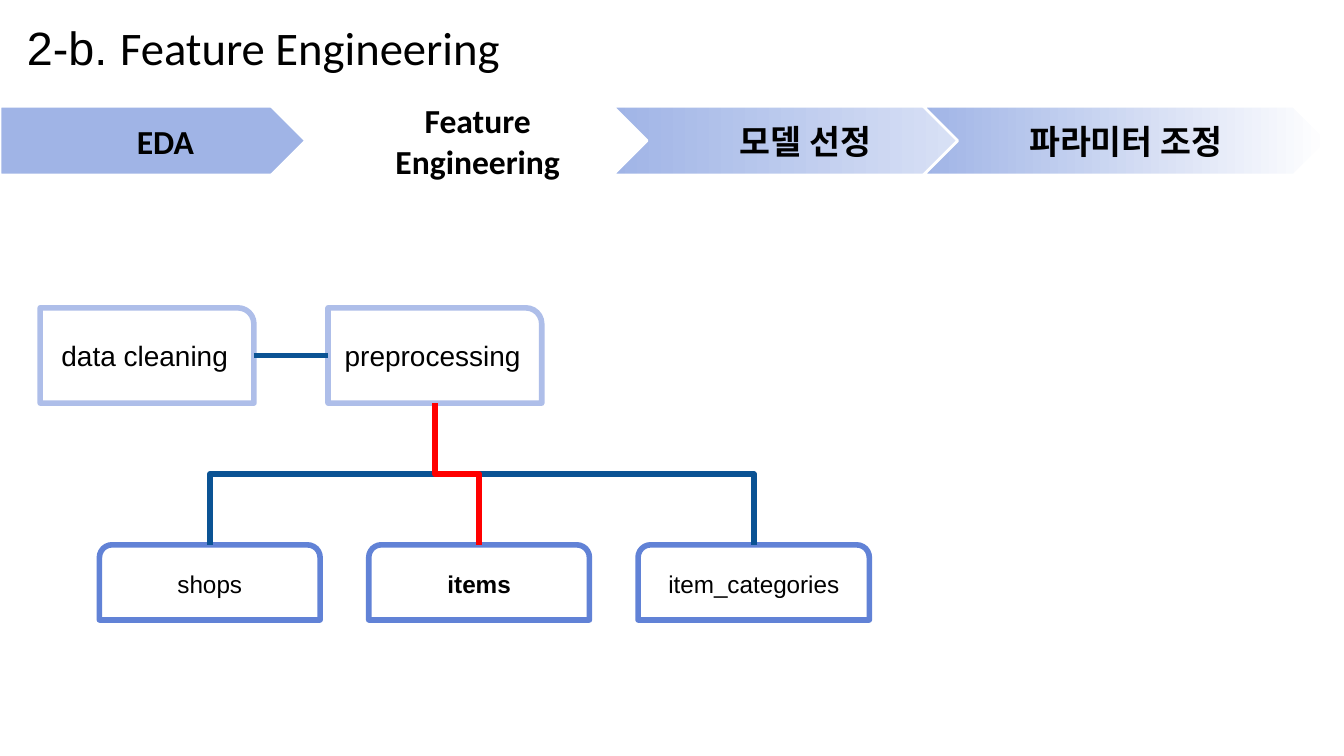
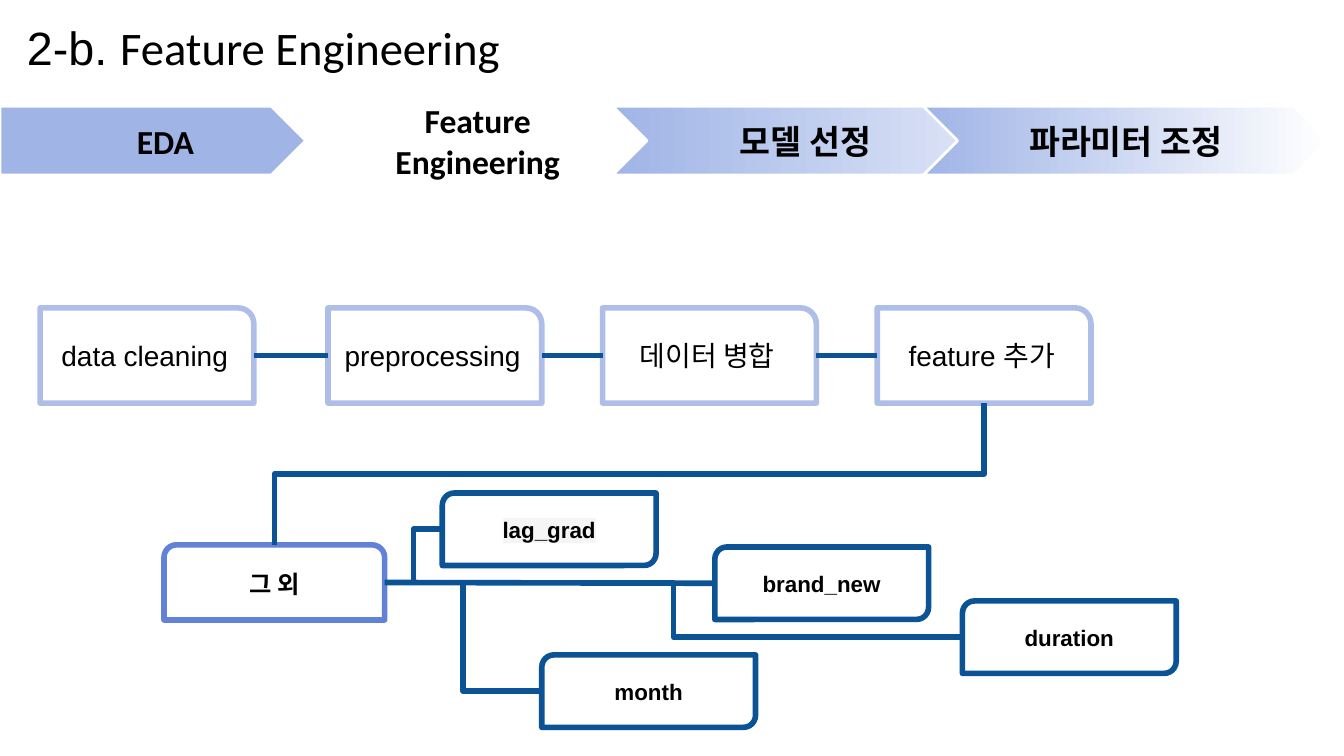
from dataclasses import dataclass

from lxml import etree
from pptx import Presentation
from pptx.dml.color import RGBColor
from pptx.enum.shapes import MSO_CONNECTOR, MSO_SHAPE
from pptx.enum.text import MSO_ANCHOR, PP_ALIGN
from pptx.oxml.ns import qn
from pptx.util import Cm, Pt

PLATE, CHEVRON = MSO_SHAPE.PENTAGON, MSO_SHAPE.CHEVRON
ROUND_1 = MSO_SHAPE.ROUND_1_RECTANGLE
ROUND_SAME = MSO_SHAPE.ROUND_2_SAME_RECTANGLE
ROUND_DIAG = MSO_SHAPE.ROUND_2_DIAG_RECTANGLE
STRAIGHT, ELBOW = MSO_CONNECTOR.STRAIGHT, MSO_CONNECTOR.ELBOW
LEFT, CENTER, MIDDLE = PP_ALIGN.LEFT, PP_ALIGN.CENTER, MSO_ANCHOR.MIDDLE


@dataclass(frozen=True)
class Theme:
    text: str = "000000"
    white: str = "FFFFFF"
    band: str = "A0B4E6"
    band_pale: str = "DFE6F7"
    step: str = "AEBEE9"
    topic: str = "6182D6"
    link: str = "0B5394"
    active: str = "FF0000"
    highlight: str = "F5F5F5"
    body_font: str = "Arial"
    head_font: str = "Calibri"
    title_size: int = 25
    band_size: int = 18
    step_size: int = 15
    topic_size: int = 13
    feature_size: int = 12
    line: float = 3
    band_line: float = 1.5


T = Theme()

# Content; lengths in cm
TITLE = [("2-b. ", T.body_font), ("Feature Engineering", T.head_font)]
PHASES = [  # text, shape, left, width, fill colours
    ("EDA", PLATE, 0, 6.58, [T.band]),
    ("Feature\nEngineering", CHEVRON, 5.13, 7.8, [T.white]),
    ("모델 선정", CHEVRON, 11.58, 7.29, [T.band, T.band_pale]),
    ("파라미터 조정", CHEVRON, 17.45, 7.65, [T.band, T.white]),
]
STEPS = ["data cleaning", "preprocessing", "데이터 병합", "feature 추가"]
TOPICS = [("shops", 4.17), ("items", 4.17), ("item_categories", 4.37)]
ACTIVE_TOPIC = "items"
OTHER = "그 외"
FEATURES = [("lag_grad", 8.36), ("brand_new", 13.51), ("duration", 18.19), ("month", 10.24)]
HIGHLIGHTED = "lag_grad"
STRAIGHT_FEATURE = "brand_new"

# Layout
TITLE_BOX = (0.33, 0.23, 17.45, 1.3)
BAND_TOP, BAND_H = 2.01, 1.3
STEP_TOP, STEP_W, STEP_H = 5.82, 4.04, 1.8
STEP_FIRST, STEP_SECOND, STEP_PITCH = 0.76, 6.2, 5.19
TOPIC_TOP, TOPIC_W, TOPIC_H = 10.3, 4.17, 1.42
TOPIC_LEFT, TOPIC_PITCH, OTHER_LEFT = 1.88, 5.09, 3.1
FEATURE_TOP, FEATURE_W, FEATURE_H, FEATURE_DROP = 9.32, 4.04, 1.37, 1.02
TIGHT, ROOMY = (0.18, 0.1), (0.25, 0.25)


def rgb(color):
    return RGBColor.from_string(color)


def add_run(p, text, size, font, bold=False):
    r = p.add_run()
    r.text = text
    for name, value in dict(size=Pt(size), name=font, bold=bold).items():
        setattr(r.font, name, value)
    r.font.color.rgb = rgb(T.text)
    return r


def highlight(r):
    mark = etree.Element(qn("a:highlight"))
    etree.SubElement(mark, qn("a:srgbClr"), val=T.highlight)
    r.font._element.find(qn("a:latin")).addprevious(mark)


def frame(tf, insets):
    side, edge = map(Cm, insets)
    values = dict(word_wrap=True, vertical_anchor=MIDDLE, margin_left=side,
                  margin_right=side, margin_top=edge, margin_bottom=edge)
    for name, value in values.items():
        setattr(tf, name, value)


def style_line(line, color, width):
    line.color.rgb = rgb(color)
    line.width = Pt(width)
    etree.SubElement(line._get_or_add_ln(), qn("a:round"))


def add_box(shapes, kind, box, text, line, size, font=T.body_font, bold=False,
            fills=(T.white,), width=T.line, insets=ROOMY):
    sp = shapes.add_shape(kind, *map(Cm, box))
    sp.shadow.inherit = False
    if len(fills) == 1:
        sp.fill.solid()
        sp.fill.fore_color.rgb = rgb(fills[0])
    else:
        sp.fill.gradient()
        sp.fill.gradient_angle = 0
        for stop, color in zip(sp.fill.gradient_stops, fills):
            stop.color.rgb = rgb(color)
    style_line(sp.line, line, width)
    tf = sp.text_frame
    frame(tf, insets)
    for i, part in enumerate(text.split("\n")):
        p = tf.add_paragraph() if i else tf.paragraphs[0]
        p.alignment = CENTER
        r = add_run(p, part, size, font, bold)
        if text == HIGHLIGHTED:
            highlight(r)
    return sp


def connect(slide, kind, start, end, color=T.link):
    sp = slide.shapes.add_connector(kind, *map(int, (*start, *end)))
    style_line(sp.line, color, T.line)
    etree.SubElement(sp._element.spPr, qn("a:effectLst"))
    return sp


def link_across(slide, a, b, kind=STRAIGHT):
    connect(slide, kind, (a.left + a.width, a.top + a.height / 2),
            (b.left, b.top + b.height / 2))


def link_down(slide, a, b, color=T.link):
    """Elbow from the bottom of a to the top of b, as a turned sideways elbow."""
    x1, y1 = a.left + a.width / 2, a.top + a.height
    x2, y2 = b.left + b.width / 2, b.top
    mid_x, mid_y = (x1 + x2) / 2, (y1 + y2) / 2
    half_w, half_h = (y2 - y1) / 2, abs(x2 - x1) / 2
    rightward = x2 > x1
    if rightward:
        half_w = -half_w
    sp = connect(slide, ELBOW, (mid_x - half_w, mid_y - half_h),
                 (mid_x + half_w, mid_y + half_h), color)
    sp._element.spPr.xfrm.set("rot", str((270 if rightward else 90) * 60000))


def add_base(prs):
    """Slide with the title and the band of phases."""
    slide = prs.slides.add_slide(prs.slide_layouts[5])
    title = slide.shapes.title
    for name, value in zip(("left", "top", "width", "height"), TITLE_BOX):
        setattr(title, name, Cm(value))
    frame(title.text_frame, TIGHT)
    p = title.text_frame.paragraphs[0]
    p.alignment = LEFT
    for text, font in TITLE:
        add_run(p, text, T.title_size, font)
    band = slide.shapes.add_group_shape()
    for text, kind, left, width, fills in PHASES:
        add_box(band.shapes, kind, (left, BAND_TOP, width, BAND_H), text, T.white,
                T.band_size, T.head_font, True, fills, T.band_line, TIGHT)
    return slide


def add_steps(slide, names):
    lefts = [STEP_FIRST] + [STEP_SECOND + i * STEP_PITCH for i in range(len(names) - 1)]
    steps = [add_box(slide.shapes, ROUND_1, (left, STEP_TOP, STEP_W, STEP_H),
                     name, T.step, T.step_size) for name, left in zip(names, lefts)]
    for a, b in zip(steps, steps[1:]):
        link_across(slide, a, b)
    return steps


def add_topic(slide, name, left, width=TOPIC_W, bold=False):
    return add_box(slide.shapes, ROUND_SAME, (left, TOPIC_TOP, width, TOPIC_H),
                   name, T.topic, T.topic_size, bold=bold)


def preprocessing_slide(prs):
    slide = add_base(prs)
    parent = add_steps(slide, STEPS[:2])[-1]
    topics = {name: add_topic(slide, name, TOPIC_LEFT + i * TOPIC_PITCH, width,
                              name == ACTIVE_TOPIC)
              for i, (name, width) in enumerate(TOPICS)}
    active = topics.pop(ACTIVE_TOPIC)
    for topic in topics.values():
        link_down(slide, parent, topic)
    link_down(slide, parent, active, T.active)


def features_slide(prs):
    slide = add_base(prs)
    parent = add_steps(slide, STEPS)[-1]
    other = add_topic(slide, OTHER, OTHER_LEFT, bold=True)
    link_down(slide, parent, other)
    for i, (name, left) in enumerate(FEATURES):
        box = (left, FEATURE_TOP + i * FEATURE_DROP, FEATURE_W, FEATURE_H)
        feature = add_box(slide.shapes, ROUND_DIAG, box, name, T.link,
                          T.feature_size, bold=True)
        link_across(slide, other, feature,
                    STRAIGHT if name == STRAIGHT_FEATURE else ELBOW)


def main():
    prs = Presentation()
    prs.slide_width, prs.slide_height = Cm(25.4), Cm(14.29)
    preprocessing_slide(prs)
    features_slide(prs)
    prs.save("out.pptx")


if __name__ == "__main__":
    main()
